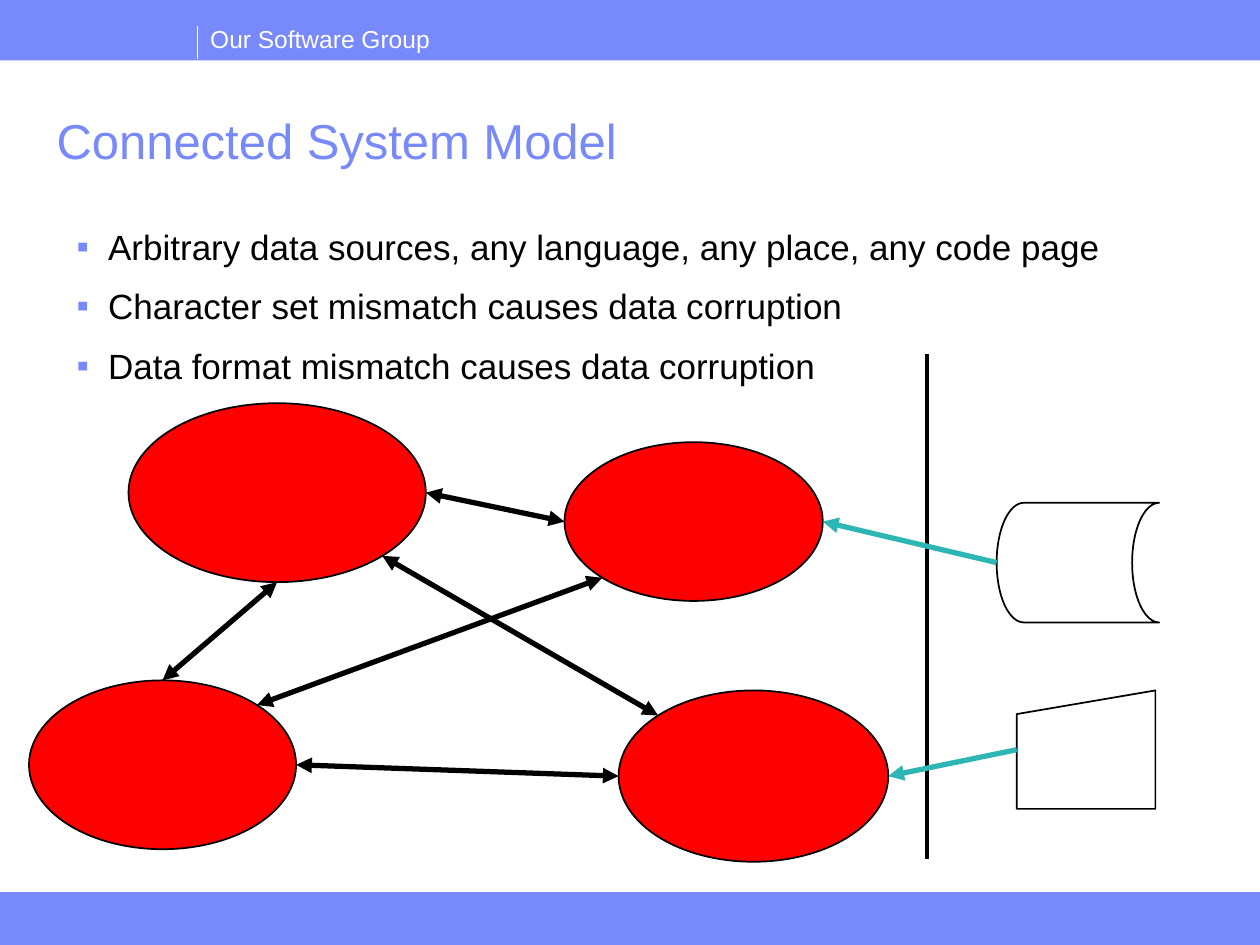
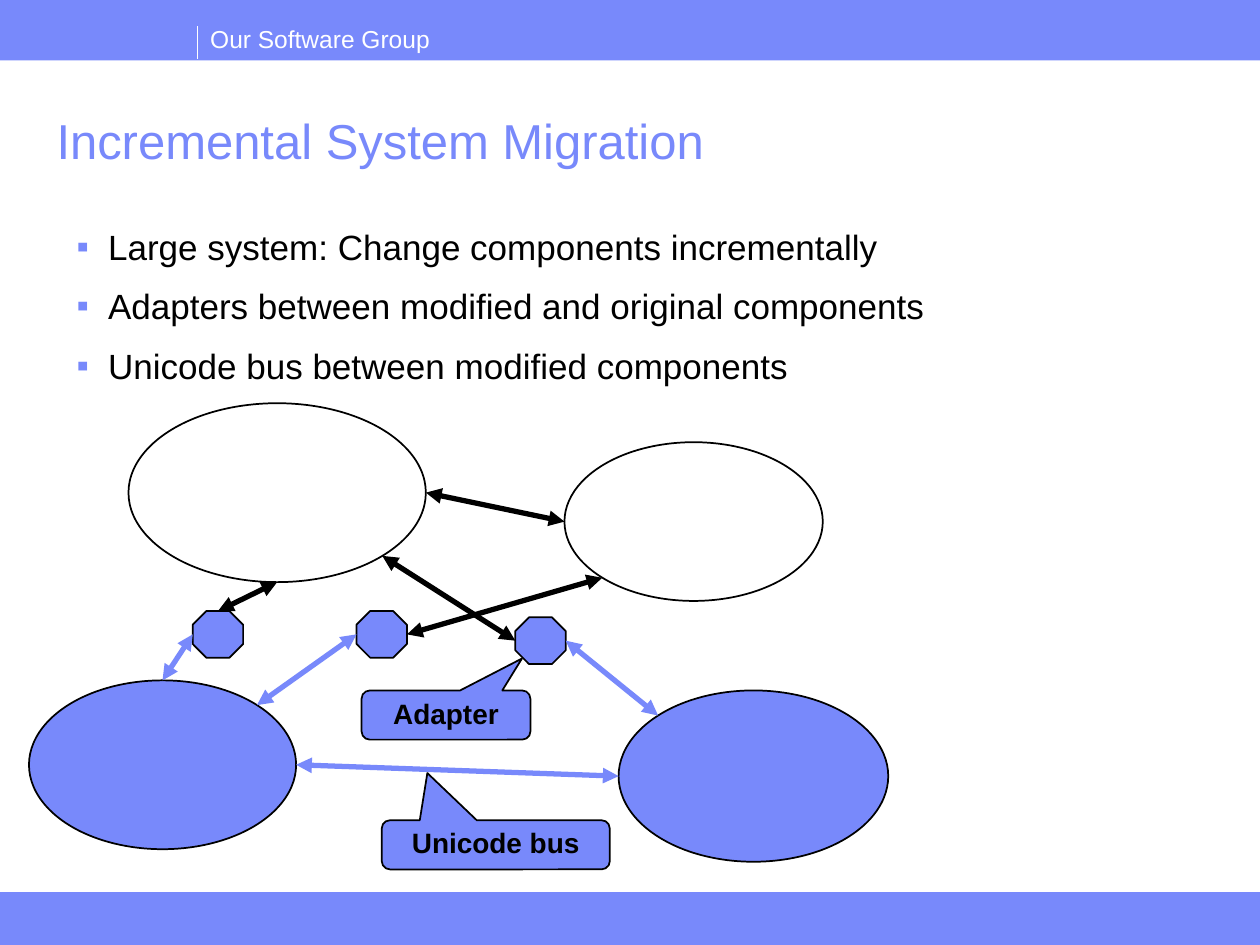
from dataclasses import dataclass

from lxml import etree
from pptx import Presentation
from pptx.dml.color import RGBColor
from pptx.enum.shapes import MSO_CONNECTOR, MSO_SHAPE
from pptx.enum.text import MSO_ANCHOR, MSO_AUTO_SIZE, PP_ALIGN
from pptx.oxml.ns import qn
from pptx.shapes.autoshape import Shape
from pptx.slide import Slide
from pptx.text.text import TextFrame
from pptx.util import Inches, Pt

RECT = MSO_SHAPE.RECTANGLE
OVAL = MSO_SHAPE.OVAL
OCTAGON = MSO_SHAPE.OCTAGON
CALLOUT = MSO_SHAPE.ROUNDED_RECTANGULAR_CALLOUT
STORE = MSO_SHAPE.FLOWCHART_STORED_DATA
INPUT = MSO_SHAPE.FLOWCHART_MANUAL_INPUT
STRAIGHT = MSO_CONNECTOR.STRAIGHT
CENTER = PP_ALIGN.CENTER
MIDDLE = MSO_ANCHOR.MIDDLE
TOP = MSO_ANCHOR.TOP
NO_FIT = MSO_AUTO_SIZE.NONE


@dataclass(frozen=True)
class Theme:
    font: str = "Arial"
    blue: str = "7889FB"
    red: str = "FF0000"
    teal: str = "2DB6B3"
    black: str = "000000"
    white: str = "FFFFFF"
    group: int = 14
    title: int = 28
    body: int = 20
    label: int = 16


THEME = Theme()


@dataclass(frozen=True)
class Box:
    left: float
    top: float
    width: float
    height: float

    def site(self, across: float, down: float) -> tuple[float, float]:
        """Point at a share of the half width and half height from the centre."""
        return (self.left + self.width * (1 + across) / 2,
                self.top + self.height * (1 + down) / 2)

    def inches(self) -> tuple[int, int, int, int]:
        return (Inches(self.left), Inches(self.top),
                Inches(self.width), Inches(self.height))


# A side is a pair of shares; a diagonal lies on the ellipse at 45 degrees
DIAG = 0.5 ** 0.5
N, S, W, E = (0, -1), (0, 1), (-1, 0), (1, 0)
NW, NE, SW, SE = (-DIAG, -DIAG), (DIAG, -DIAG), (-DIAG, DIAG), (DIAG, DIAG)


@dataclass(frozen=True)
class Link:
    start: Box
    leave: tuple[float, float]
    end: Box
    enter: tuple[float, float]
    color: str = THEME.black
    both: bool = True


@dataclass(frozen=True)
class Label:
    text: str
    box: Box
    tip: tuple[float, float]


# Places of the diagram parts
BIG = Box(1.02, 3.2, 2.36, 1.42)
RIGHT = Box(4.48, 3.51, 2.05, 1.26)
LOW = Box(0.23, 5.4, 2.12, 1.34)
LAST = Box(4.91, 5.48, 2.14, 1.36)
DISK = Box(7.91, 3.99, 1.29, 0.95)
ENTRY = Box(8.07, 5.48, 1.1, 0.94)
PORTS = [Box(left, top, 0.4, 0.37)
         for left, top in ((1.53, 4.85), (2.83, 4.85), (4.09, 4.9))]

MODEL_LINKS = [
    Link(LOW, NE, RIGHT, SW),
    Link(BIG, SE, LAST, NW),
    Link(LOW, N, BIG, S),
    Link(BIG, E, RIGHT, W),
    Link(LOW, E, LAST, W),
    Link(DISK, W, RIGHT, E, THEME.teal, False),
    Link(ENTRY, W, LAST, E, THEME.teal, False),
]
MOVE_LINKS = [
    Link(BIG, E, RIGHT, W),
    Link(LOW, E, LAST, W, THEME.blue),
    Link(PORTS[2], E, LAST, NW, THEME.blue),
    Link(PORTS[2], W, BIG, SE),
    Link(PORTS[0], W, LOW, N, THEME.blue),
    Link(PORTS[0], N, BIG, S),
    Link(PORTS[1], W, LOW, NE, THEME.blue),
    Link(PORTS[1], E, RIGHT, SW),
]
LABELS = [
    Label("Unicode bus", Box(3.03, 6.51, 1.81, 0.39), (-0.3, -1.46)),
    Label("Adapter", Box(2.87, 5.48, 1.34, 0.39), (0.45, -1.15)),
]


def style(frame: TextFrame, size: int, color: str, bold: bool = False) -> None:
    for para in frame.paragraphs:
        for run in para.runs:
            run.font.name = THEME.font
            run.font.size = Pt(size)
            run.font.bold = bold
            run.font.color.rgb = RGBColor.from_string(color)


def add_text(slide: Slide, box: Box, text: str, size: int, color: str,
             wrap: bool = True, anchor: MSO_ANCHOR = TOP) -> TextFrame:
    frame = slide.shapes.add_textbox(*box.inches()).text_frame
    frame.text = text
    frame.word_wrap = wrap
    frame.auto_size = NO_FIT
    frame.vertical_anchor = anchor
    style(frame, size, color)
    return frame


def add_part(slide: Slide, kind: MSO_SHAPE, box: Box, fill: str = "",
             line: str = THEME.black, width: float = 1) -> Shape:
    part = slide.shapes.add_shape(kind, *box.inches())
    part.shadow.inherit = False
    if fill:
        part.fill.solid()
        part.fill.fore_color.rgb = RGBColor.from_string(fill)
    else:
        part.fill.background()
    part.line.color.rgb = RGBColor.from_string(line)
    part.line.width = Pt(width)
    return part


def add_line(slide: Slide, start: tuple[float, float], end: tuple[float, float],
             color: str, width: float, heads: tuple[str, ...] = ()) -> None:
    line = slide.shapes.add_connector(
        STRAIGHT, *(Inches(value) for value in (*start, *end)))
    line.line.color.rgb = RGBColor.from_string(color)
    line.line.width = Pt(width)
    stroke = line.line._get_or_add_ln()
    for head in heads:
        etree.SubElement(stroke, qn(f"a:{head}"), type="triangle")
    etree.SubElement(line._element.spPr, qn("a:effectLst"))


def add_links(slide: Slide, links: list[Link]) -> None:
    for link in links:
        heads = ("headEnd", "tailEnd") if link.both else ("tailEnd",)
        add_line(slide, link.start.site(*link.leave),
                 link.end.site(*link.enter), link.color, 3, heads)


def add_label(slide: Slide, label: Label) -> None:
    part = add_part(slide, CALLOUT, label.box, THEME.blue)
    part.adjustments[0], part.adjustments[1] = label.tip
    frame = part.text_frame
    frame.text = label.text
    frame.word_wrap = True
    frame.vertical_anchor = MIDDLE
    frame.paragraphs[0].alignment = CENTER
    frame.paragraphs[0].line_spacing = 0.9
    style(frame, THEME.label, THEME.black, True)


def add_points(slide: Slide, points: list[str]) -> None:
    frame = add_text(slide, Box(0.51, 1.74, 8.93, 5.31), "\n".join(points),
                     THEME.body, THEME.black)
    for index, para in enumerate(frame.paragraphs):
        props = para._p.get_or_add_pPr()
        props.set("marL", str(Inches(0.25)))
        props.set("indent", str(-Inches(0.25)))
        tint = etree.SubElement(props, qn("a:buClr"))
        etree.SubElement(tint, qn("a:srgbClr"), val=THEME.blue)
        etree.SubElement(props, qn("a:buFont"), typeface=THEME.font)
        etree.SubElement(props, qn("a:buChar"), char="▪")
        para.space_before = Pt(6.2 if index else 0)
        para.space_after = Pt(3.7)


def add_page(deck: Presentation, title: str, points: list[str]) -> Slide:
    slide = deck.slides.add_slide(deck.slide_layouts[6])
    # Bands and group name
    head = add_part(slide, RECT, Box(0, 0, 10, 0.48), THEME.blue)
    head.line.fill.background()
    add_part(slide, RECT, Box(0, 7.08, 10, 0.42), THEME.blue, THEME.blue, 0.25)
    add_text(slide, Box(1.57, 0.14, 1.96, 0.34), "Our Software Group",
             THEME.group, THEME.white, wrap=False)
    add_line(slide, (1.57, 0.21), (1.57, 0.47), THEME.white, 0.75)
    # Title and bullets
    frame = add_text(slide, Box(0.35, 0.88, 9.21, 0.52), title,
                     THEME.title, THEME.blue, anchor=MIDDLE)
    frame.paragraphs[0].line_spacing = 0.9
    add_points(slide, points)
    return slide


def add_model(deck: Presentation) -> None:
    slide = add_page(deck, "Connected System Model", [
        "Arbitrary data sources, any language, any place, any code page",
        "Character set mismatch causes data corruption",
        "Data format mismatch causes data corruption",
    ])
    for box in (BIG, RIGHT, LOW, LAST):
        add_part(slide, OVAL, box, THEME.red)
    add_line(slide, (7.36, 2.81), (7.36, 6.82), THEME.black, 2.25)
    add_part(slide, STORE, DISK)
    add_part(slide, INPUT, ENTRY)
    add_links(slide, MODEL_LINKS)


def add_move(deck: Presentation) -> None:
    slide = add_page(deck, "Incremental System Migration", [
        "Large system: Change components incrementally",
        "Adapters between modified and original components",
        "Unicode bus between modified components",
    ])
    for box in (BIG, RIGHT):
        add_part(slide, OVAL, box)
    for box in (LOW, LAST):
        add_part(slide, OVAL, box, THEME.blue)
    for port in PORTS:
        add_part(slide, OCTAGON, port, THEME.blue)
    add_links(slide, MOVE_LINKS)
    for label in LABELS:
        add_label(slide, label)


def main() -> None:
    deck = Presentation()
    deck.slide_width, deck.slide_height = Inches(10), Inches(7.5)
    add_model(deck)
    add_move(deck)
    deck.save("out.pptx")


if __name__ == "__main__":
    main()
